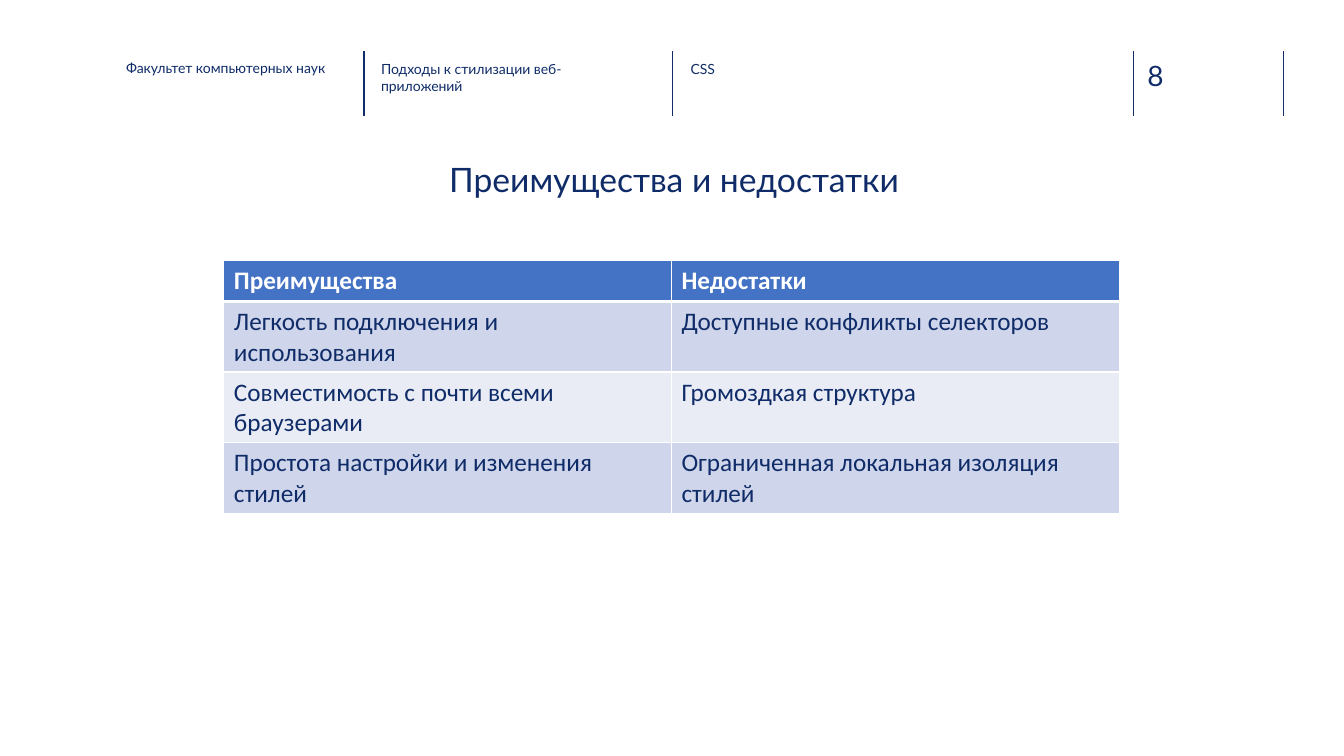
from lxml.etree import SubElement
from pptx import Presentation
from pptx.dml.color import RGBColor
from pptx.enum.shapes import MSO_CONNECTOR
from pptx.enum.text import MSO_ANCHOR, PP_ALIGN
from pptx.oxml.ns import qn
from pptx.util import Inches, Pt

NAVY = RGBColor(0x0F, 0x2C, 0x68)
RULE_NAVY = RGBColor(0x10, 0x2D, 0x69)
HEADER_BLUE = RGBColor(0x44, 0x72, 0xC4)
BAND_DARK = RGBColor(0xCF, 0xD5, 0xEA)
BAND_LIGHT = RGBColor(0xE9, 0xEB, 0xF5)
WHITE = RGBColor(0xFF, 0xFF, 0xFF)

DIVIDER_POSITIONS = [3.61, 6.67, 11.24, 12.73]
DIVIDER_TOP, DIVIDER_BOTTOM = 0.51, 1.15

# text, left, top, width, height, size, alignment
LABELS = [
    ("8", 11.38, 0.58, 0.73, 0.34, 20, PP_ALIGN.LEFT),
    ("Факультет компьютерных наук", 1.25, 0.59, 2.08, 0.45, 10, PP_ALIGN.LEFT),
    ("Подходы к стилизации веб-приложений", 3.78, 0.6, 2.26, 0.45, 10, PP_ALIGN.LEFT),
    ("CSS", 6.85, 0.6, 2.26, 0.45, 10, PP_ALIGN.LEFT),
    ("Преимущества и недостатки", 0.64, 1.58, 12.09, 0.85, 24, PP_ALIGN.CENTER),
]

TABLE_ROWS = [
    ("Преимущества", "Недостатки"),
    ("Легкость подключения и использования", "Доступные конфликты селекторов"),
    ("Совместимость с почти всеми браузерами", "Громоздкая структура"),
    ("Простота настройки и изменения стилей", "Ограниченная локальная изоляция стилей"),
]
COLUMN_WIDTH, HEADER_HEIGHT, ROW_HEIGHT = 4.44, 0.41, 0.7


def set_font(paragraph, name, size, color, bold=False):
    font = paragraph.runs[0].font
    for key, value in {"name": name, "size": Pt(size), "bold": bold}.items():
        setattr(font, key, value)
    font.color.rgb = color


def add_divider(slide, left):
    divider = slide.shapes.add_connector(
        MSO_CONNECTOR.STRAIGHT,
        Inches(left), Inches(DIVIDER_TOP), Inches(left), Inches(DIVIDER_BOTTOM))
    divider.line.color.rgb = RULE_NAVY
    divider.line.width = Pt(1)
    SubElement(divider._element.spPr, qn("a:effectLst"))


def add_label(slide, text, left, top, width, height, size, alignment):
    shape = slide.shapes.add_textbox(
        Inches(left), Inches(top), Inches(width), Inches(height))
    frame = shape.text_frame
    settings = {"margin_left": 0, "margin_top": 0, "margin_right": 0,
                "margin_bottom": 0, "word_wrap": True,
                "vertical_anchor": MSO_ANCHOR.TOP}
    for key, value in settings.items():
        setattr(frame, key, value)
    paragraph = frame.paragraphs[0]
    paragraph.text = text
    paragraph.alignment = alignment
    set_font(paragraph, "Lato", size, NAVY)


def add_borders(cell, widths):
    properties = cell._tc.get_or_add_tcPr()
    for side, width in widths.items():
        line = SubElement(properties, qn(f"a:ln{side}"), w=str(Pt(width)))
        fill = SubElement(line, qn("a:solidFill"))
        SubElement(fill, qn("a:srgbClr"), val=str(WHITE))


def add_comparison_table(slide, left, top):
    row_count, column_count = len(TABLE_ROWS), len(TABLE_ROWS[0])
    height = HEADER_HEIGHT + ROW_HEIGHT * (row_count - 1)
    table = slide.shapes.add_table(
        row_count, column_count, Inches(left), Inches(top),
        Inches(COLUMN_WIDTH * column_count), Inches(height)).table
    for column in table.columns:
        column.width = Inches(COLUMN_WIDTH)
    for row_index, texts in enumerate(TABLE_ROWS):
        is_header = row_index == 0
        table.rows[row_index].height = Inches(HEADER_HEIGHT if is_header else ROW_HEIGHT)
        band = BAND_DARK if row_index % 2 else BAND_LIGHT
        for column_index, text in enumerate(texts):
            cell = table.cell(row_index, column_index)
            cell.text = text
            set_font(cell.text_frame.paragraphs[0], "Calibri", 18,
                     WHITE if is_header else NAVY, is_header)
            add_borders(cell, {"L": 1, "R": 1, "T": 3 if row_index == 1 else 1,
                               "B": 3 if is_header else 1})
            cell.fill.solid()
            cell.fill.fore_color.rgb = HEADER_BLUE if is_header else band


def main():
    presentation = Presentation()
    presentation.slide_width = Inches(13.33)
    presentation.slide_height = Inches(7.5)
    slide = presentation.slides.add_slide(presentation.slide_layouts[6])

    # Page header dividers
    for left in DIVIDER_POSITIONS:
        add_divider(slide, left)

    # Page header texts and title
    for label in LABELS:
        add_label(slide, *label)

    # Advantages and disadvantages
    add_comparison_table(slide, 2.22, 2.58)

    presentation.save("out.pptx")


if __name__ == "__main__":
    main()
